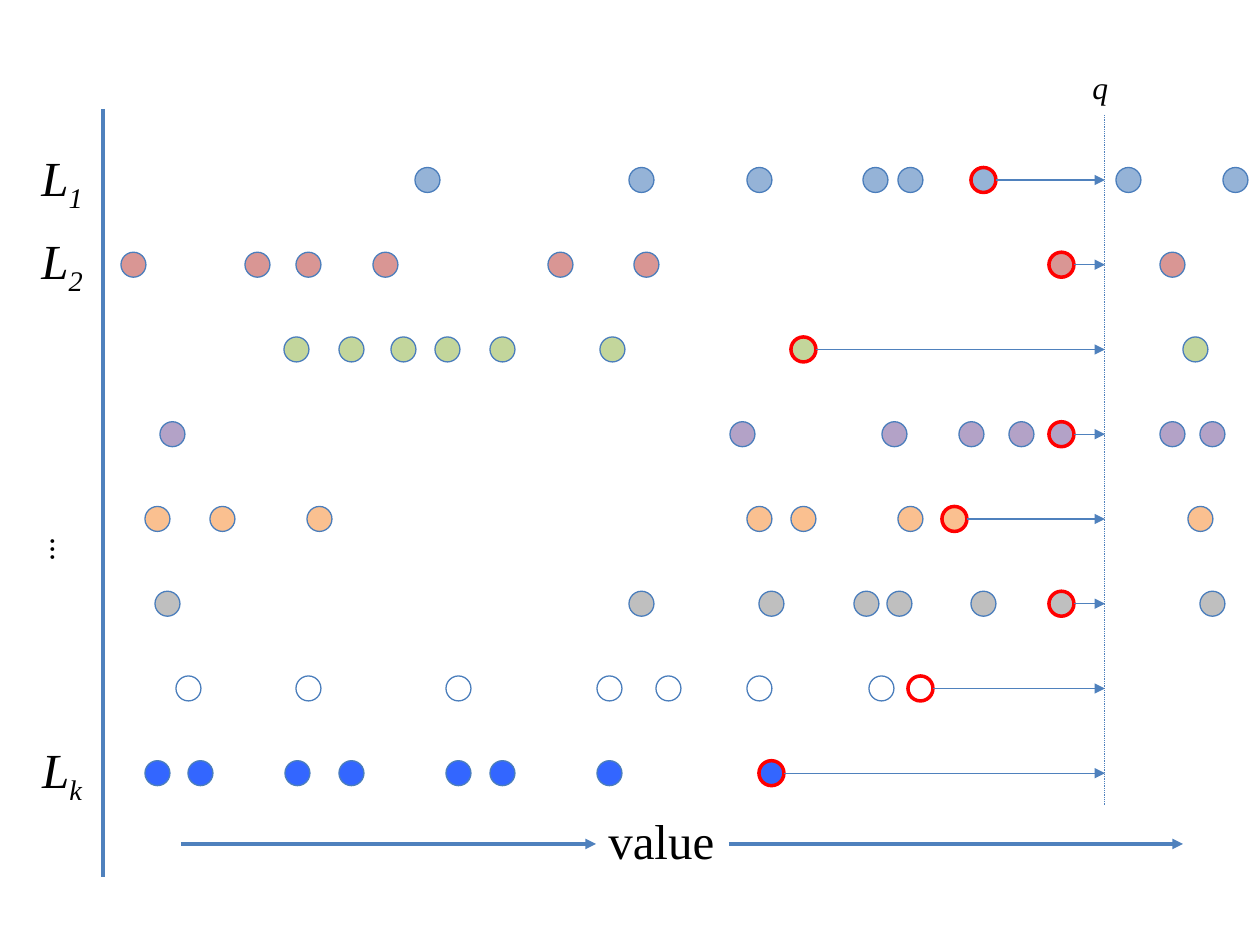
from pptx import Presentation
from pptx.dml.color import RGBColor
from pptx.enum.dml import MSO_LINE
from pptx.enum.shapes import MSO_CONNECTOR, MSO_SHAPE
from pptx.enum.text import MSO_AUTO_SIZE, PP_ALIGN
from pptx.oxml.ns import qn
from pptx.util import Emu, Pt
from lxml import etree

PX = 914400 // 126
STRAIGHT, OVAL = MSO_CONNECTOR.STRAIGHT, MSO_SHAPE.OVAL
DOTTED = MSO_LINE.ROUND_DOT
LEFT, CENTER = PP_ALIGN.LEFT, PP_ALIGN.CENTER
GROW = MSO_AUTO_SIZE.SHAPE_TO_FIT_TEXT
BLACK = RGBColor(0, 0, 0)
BLUE = RGBColor(0x4F, 0x81, 0xBD)
OUTLINE = RGBColor(0x4B, 0x7E, 0xBC)
RED = RGBColor(0xFF, 0, 0)
SERIF = {"name": "Times New Roman", "size": Pt(28), "italic": False}
SERIF_ITALIC = {**SERIF, "italic": True}


def px(length):
    return Emu(round(length * PX))


class Diagram:
    def __init__(self, slide):
        self.shapes = slide.shapes

    def dot(self, left, top, size, fill, outline, weight):
        dot = self.shapes.add_shape(OVAL, px(left), px(top), px(size), px(size))
        dot.shadow.inherit = False
        dot.fill.solid()
        dot.fill.fore_color.rgb = fill
        dot.line.color.rgb = outline
        dot.line.width = Pt(weight)

    def line(self, x1, y1, x2, y2, weight, arrow=False, dash=None):
        line = self.shapes.add_connector(STRAIGHT, px(x1), px(y1), px(x2), px(y2))
        line.line.color.rgb = BLUE
        line.line.width = Pt(weight)
        if dash is not None:
            line.line.dash_style = dash
        if arrow:
            etree.SubElement(line.line._get_or_add_ln(), qn("a:tailEnd"), type="triangle")
        etree.SubElement(line._element.spPr, qn("a:effectLst"))

    def text(self, left, top, width, height, words, style, subscript="", align=LEFT, rotation=0):
        box = self.shapes.add_textbox(px(left), px(top), px(width), px(height))
        box.rotation = rotation
        frame = box.text_frame
        frame.word_wrap = False
        frame.auto_size = GROW
        paragraph = frame.paragraphs[0]
        paragraph.alignment = align
        for part in filter(None, (words, subscript)):
            run = paragraph.add_run()
            run.text = part
            for key, value in style.items():
                setattr(run.font, key, value)
            run.font.color.rgb = BLACK
        if subscript:
            run.font._element.set("baseline", "-25000")


LISTS = [
    ("95B3D7", [415, 629, 747, 863, 898, 971, 1116, 1223]),
    ("D99694", [121, 245, 296, 373, 548, 634, 1049, 1160]),
    ("C3D69B", [284, 339, 391, 435, 490, 600, 791, 1183]),
    ("B3A2C7", [160, 730, 882, 959, 1009, 1049, 1160, 1200]),
    ("FAC090", [145, 210, 307, 747, 791, 898, 942, 1188]),
    ("BFBFBF", [155, 629, 759, 854, 887, 971, 1049, 1200]),
    ("FFFFFF", [176, 296, 446, 597, 656, 747, 869, 908]),
    ("3366FF", [145, 188, 285, 339, 446, 490, 597, 759]),
]
FIRST_TOP, ROW_PITCH, DOT = 167.5, 84.75, 25
QUERY_X, AXIS_X, VALUE_Y = 1105, 103, 844

deck = Presentation()
deck.slide_width, deck.slide_height = px(1260), px(945)
diagram = Diagram(deck.slides.add_slide(deck.slide_layouts[6]))

diagram.text(596, 804, 132, 81, "value", SERIF)
diagram.line(AXIS_X, 109, AXIS_X, 877, 2)
diagram.line(QUERY_X, 115, QUERY_X, 805, 0.5, dash=DOTTED)
for start, end in ((181, 596), (729, 1183)):
    diagram.line(start, VALUE_Y, end, VALUE_Y, 2, arrow=True)

for row, (color, values) in enumerate(LISTS):
    top = FIRST_TOP + row * ROW_PITCH
    middle = top + DOT / 2
    predecessor = max(value for value in values if value < QUERY_X)
    for value in values:
        outline, weight = (RED, 2) if value == predecessor else (OUTLINE, 0.75)
        diagram.dot(value, top, DOT, RGBColor.from_string(color), outline, weight)
    diagram.line(predecessor + DOT, middle, QUERY_X, middle, 0.75, arrow=True)

for subscript, top in (("1", 141), ("2", 224), ("k", 733)):
    diagram.text(21, top, 82, 81, "L", SERIF_ITALIC, subscript, CENTER)
diagram.text(-5, 489, 106, 63, "...", {"name": "Calibri", "size": Pt(18)}, rotation=270)
diagram.text(1080, 62, 50, 50, "q", {**SERIF_ITALIC, "size": Pt(18)})

deck.save("out.pptx")
